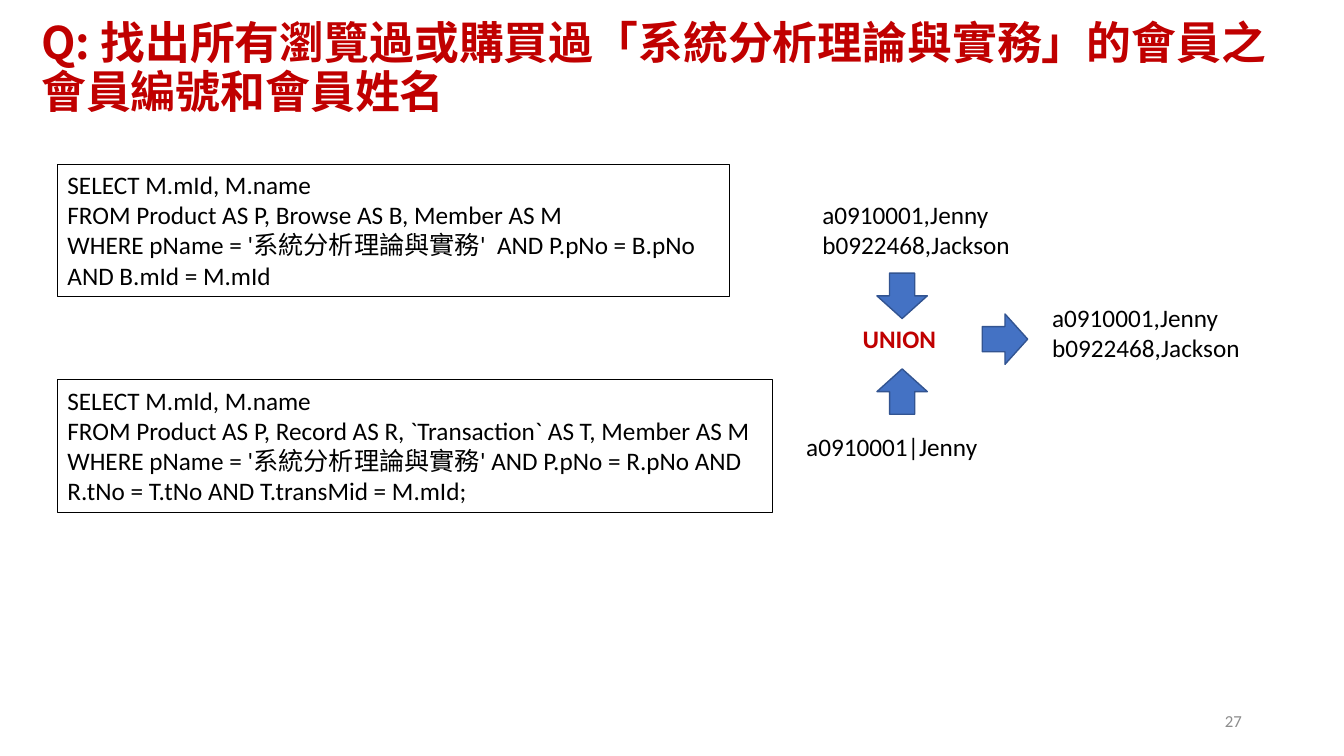
from dataclasses import dataclass
from pptx import Presentation, util as u
from pptx.dml.color import RGBColor
from pptx.enum import shapes, text
from pptx.oxml.ns import qn
from lxml import etree


@dataclass(frozen=True)
class Theme:
    accent: str = "C00000"
    ink: str = "000000"
    muted: str = "8C8C8C"
    arrow: str = "4472C4"
    arrow_edge: str = "325491"
    latin: str = "Calibri"
    cjk: str = "Noto Sans CJK SC"
    title: int = 32
    body: int = 18
    small: int = 12


THEME = Theme()
WIDTH, HEIGHT = u.Inches(13.33), u.Inches(7.5)
BODY = {"size": u.Pt(THEME.body), "name": THEME.latin}
ARROW_SIZE = (3.75, 6)


def place(box):
    left, top, width, height = box
    return [round(share * side / 100) for share, side in
            ((left, WIDTH), (top, HEIGHT), (width, WIDTH), (height, HEIGHT))]


def within(box, left, top, width, height):
    return box[0] + left, box[1] + top, width, height


def apply(target, values):
    for name, value in values.items():
        setattr(target, name, value)


def add_text(page, box, lines, color=THEME.ink, font=BODY, frame=None, para_format=None):
    shape = page.shapes.add_textbox(*place(box))
    apply(shape.text_frame, {"word_wrap": True, **(frame or {})})
    for index, line in enumerate(lines):
        para = shape.text_frame.paragraphs[0] if index == 0 else shape.text_frame.add_paragraph()
        apply(para, para_format or {})
        span = para.add_run()
        span.text = line
        apply(span.font, font)
        span.font.color.rgb = RGBColor.from_string(color)
        east_asian = etree.SubElement(span.font._element, qn("a:ea"))
        east_asian.set("typeface", THEME.cjk)
    return shape


def add_title(page, box, words):
    add_text(page, box, [words], THEME.accent,
             {"size": u.Pt(THEME.title), "name": THEME.cjk, "bold": True},
             {"vertical_anchor": text.MSO_ANCHOR.MIDDLE}, {"line_spacing": 0.9})


def add_page_number(page, box, number):
    add_text(page, box, [number], THEME.muted,
             {"size": u.Pt(THEME.small), "name": THEME.latin},
             {"vertical_anchor": text.MSO_ANCHOR.MIDDLE},
             {"alignment": text.PP_ALIGN.RIGHT})


def add_query(page, box, lines):
    query = add_text(page, box, lines)
    query.line.color.rgb = RGBColor.from_string(THEME.ink)
    query.line.width = u.Pt(0.75)


def add_arrow(page, box, rotation):
    arrow = page.shapes.add_shape(shapes.MSO_SHAPE.DOWN_ARROW, *place(box))
    arrow.shadow.inherit = False
    arrow.rotation = rotation
    arrow.fill.solid()
    arrow.fill.fore_color.rgb = RGBColor.from_string(THEME.arrow)
    arrow.line.color.rgb = RGBColor.from_string(THEME.arrow_edge)
    arrow.line.width = u.Pt(1)


def add_union_flow(page, box):
    members = ["a0910001,Jenny", "b0922468,Jackson"]
    add_text(page, within(box, 0, 30.67, 15.45, 5.33), ["a0910001|Jenny"])
    add_text(page, within(box, 4.2, 16.4, 7.05, 5.33), ["UNION"], THEME.accent,
             {**BODY, "bold": True}, {"word_wrap": False})
    for left, top, width in ((1.2, 0, 17.18), (18.3, 13.6, 17.48)):
        add_text(page, within(box, left, top, width, 9.47), members)
    for left, top, rotation in ((6, 10.4, 0), (6, 23.07, 180), (13.65, 16.13, 270)):
        add_arrow(page, within(box, left, top, *ARROW_SIZE), rotation)


def main():
    deck = Presentation()
    apply(deck, {"slide_width": WIDTH, "slide_height": HEIGHT})
    page = deck.slides.add_slide(deck.slide_layouts[6])
    add_title(page, (2.33, 2, 94.43, 14.4),
              "Q: 找出所有瀏覽過或購買過「系統分析理論與實務」的會員之會員編號和會員姓名")
    add_page_number(page, (70.65, 92.67, 22.5, 5.33), "27")
    add_query(page, (4.28, 21.73, 50.03, 17.47), [
        "SELECT M.mId, M.name",
        "FROM Product AS P, Browse AS B, Member AS M",
        "WHERE pName = '系統分析理論與實務'  AND P.pNo = B.pNo AND B.mId = M.mId",
    ])
    add_query(page, (4.28, 50.27, 53.18, 17.47), [
        "SELECT M.mId, M.name",
        "FROM Product AS P, Record AS R, `Transaction` AS T, Member AS M",
        "WHERE pName = '系統分析理論與實務' AND P.pNo = R.pNo AND R.tNo = T.tNo AND T.transMid = M.mId;",
    ])
    add_union_flow(page, (59.25, 25.73, 35.78, 36))
    deck.save("out.pptx")


if __name__ == "__main__":
    main()
